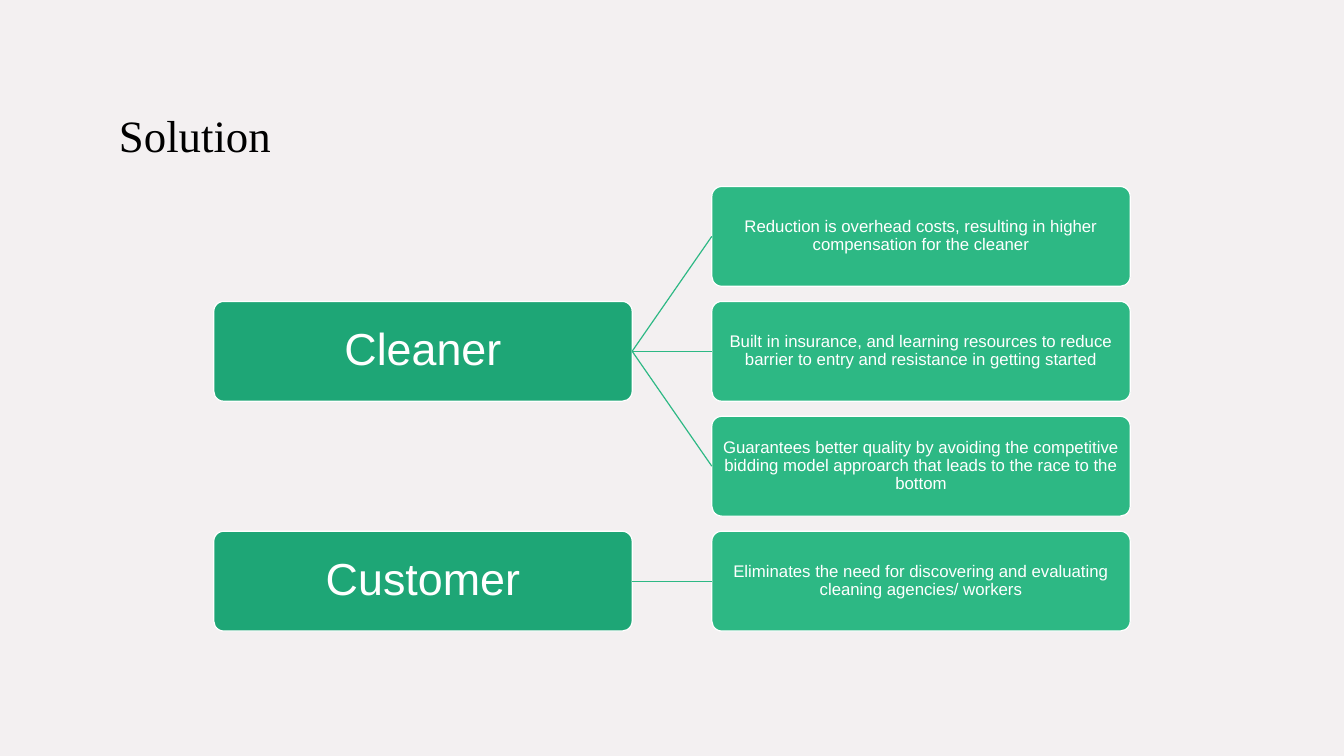
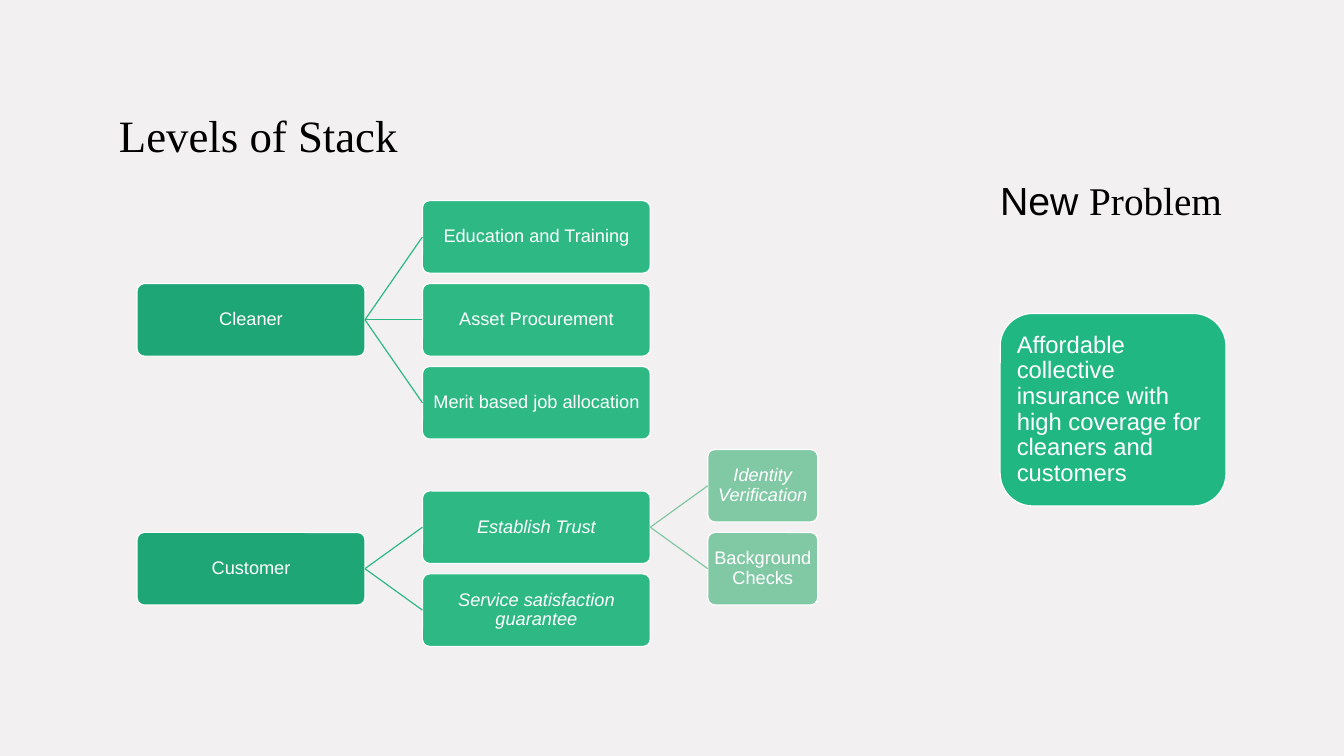
"""Build two slides that map a cleaning service's solution and its stack as trees."""
import pptx
import pptx.util
import pptx.dml.color
import pptx.enum.shapes
import pptx.enum.text
import pptx.oxml

Inches, Pt = pptx.util.Inches, pptx.util.Pt
ALIGN, ANCHOR = pptx.enum.text.PP_ALIGN, pptx.enum.text.MSO_ANCHOR
SHAPE, LINE = pptx.enum.shapes.MSO_SHAPE, pptx.enum.shapes.MSO_CONNECTOR

COLORS = {"back": "F3F0F1", "ink": "000000", "white": "FFFFFF", "callout": "21B782"}
LEVELS = ["1EA676", "2DB884", "81C8A5"]
SANS, SERIF = "Arial", "Times New Roman"
LINE_WIDTH = 0.85

SOLUTION = {
    "title": "Solution",
    "columns": [(2.12, 4.15), (7.06, 4.15)],
    "top": 1.85, "pitch": 1.14, "height": 0.99,
    "sizes": [32, 12],
    "tree": [
        {"text": "Cleaner", "children": [
            {"text": "Reduction is overhead costs, resulting in higher compensation for the cleaner", "row": 0},
            {"text": "Built in insurance, and learning resources to reduce barrier to entry and "
                     "resistance in getting started", "row": 1},
            {"text": "Guarantees better quality by avoiding the competitive bidding model approarch "
                     "that leads to the race to the bottom", "row": 2}]},
        {"text": "Customer", "children": [
            {"text": "Eliminates the need for discovering and evaluating cleaning agencies/ workers", "row": 3}]},
    ],
}
STACK = {
    "title": "Levels of Stack",
    "columns": [(1.36, 2.26), (4.19, 2.26), (7.02, 1.09)],
    "top": 1.99, "pitch": 0.823, "height": 0.72,
    "sizes": [13, 13, 13],
    "tree": [
        {"text": "Cleaner", "children": [
            {"text": "Education and Training", "row": 0},
            {"text": "Asset Procurement", "row": 1},
            {"text": "Merit based job allocation", "row": 2}]},
        {"text": "Customer", "children": [
            {"text": "Establish Trust", "italic": True, "children": [
                {"text": "Identity Verification", "italic": True, "row": 3},
                {"text": "Background Checks", "row": 4}]},
            {"text": "Service satisfaction guarantee", "italic": True, "row": 4.5}]},
    ],
}
PROBLEM_HEADING = [("New ", SANS), ("Problem", SERIF)]
PROBLEM = "Affordable collective insurance with high coverage for cleaners and customers"


def rgb(value):
    return pptx.dml.color.RGBColor.from_string(value)


def add_run(p, text, size, font, color, italic=None):
    r = p.add_run()
    r.text = text
    r.font.size, r.font.name, r.font.italic = Pt(size), font, italic
    r.font.color.rgb = rgb(color)


def add_slide(prs, title):
    s = prs.slides.add_slide(prs.slide_layouts[5])
    sp = s.shapes.title
    sp.left, sp.top, sp.width, sp.height = map(Inches, (1.08, 0.43, 11.17, 1.22))
    sp.text_frame.vertical_anchor = ANCHOR.BOTTOM
    p = sp.text_frame.paragraphs[0]
    p.alignment = ALIGN.LEFT
    add_run(p, title, 32, SERIF, COLORS["ink"])
    return s


def add_box(s, at, text, size, fill, inset=0.01, align=ALIGN.CENTER, radius=0.1, italic=None):
    sp = s.shapes.add_shape(SHAPE.ROUNDED_RECTANGLE, *map(Inches, at))
    sp.adjustments[0] = radius
    sp.shadow.inherit = False
    sp.fill.solid()
    sp.fill.fore_color.rgb = rgb(fill)
    sp.line.color.rgb = rgb(COLORS["white"])
    sp.line.width = Pt(LINE_WIDTH)
    tf = sp.text_frame
    tf.word_wrap = True
    tf.vertical_anchor = ANCHOR.MIDDLE
    tf.margin_left = tf.margin_right = tf.margin_top = tf.margin_bottom = Inches(inset)
    p = tf.paragraphs[0]
    p.alignment, p.line_spacing = align, 0.9
    add_run(p, text, size, SANS, COLORS["white"], italic)
    return sp


def add_link(s, parent, child, color):
    link = s.shapes.add_connector(LINE.STRAIGHT, 0, 0, 0, 0)
    link.begin_connect(parent, 3)
    link.end_connect(child, 1)
    link.line.color.rgb = rgb(color)
    link.line.width = Pt(LINE_WIDTH)
    link._element.spPr.append(pptx.oxml.parse_xml(
        '<a:effectLst xmlns:a="http://schemas.openxmlformats.org/drawingml/2006/main"/>'))


def row_of(node):
    children = node.get("children")
    return sum(map(row_of, children)) / len(children) if children else node["row"]


def add_node(s, diagram, node, level=0):
    left, width = diagram["columns"][level]
    top = diagram["top"] + diagram["pitch"] * row_of(node)
    sp = add_box(s, (left, top, width, diagram["height"]), node["text"],
                 diagram["sizes"][level], LEVELS[level], italic=node.get("italic"))
    for child in node.get("children", []):
        add_link(s, sp, add_node(s, diagram, child, level + 1), LEVELS[level + 1])
    return sp


def add_tree_slide(prs, diagram):
    s = add_slide(prs, diagram["title"])
    for root in diagram["tree"]:
        add_node(s, diagram, root)
    return s


def add_problem(s):
    tf = s.shapes.add_textbox(*map(Inches, (9.82, 1.7, 2.43, 0.57))).text_frame
    tf.word_wrap = False
    tf.auto_size = pptx.enum.text.MSO_AUTO_SIZE.SHAPE_TO_FIT_TEXT
    for text, font in PROBLEM_HEADING:
        add_run(tf.paragraphs[0], text, 28, font, COLORS["ink"])
    add_box(s, (9.92, 3.11, 2.24, 1.91), PROBLEM, 17, COLORS["callout"],
            inset=0.07, align=ALIGN.LEFT, radius=0.17)


def main():
    prs = pptx.Presentation()
    prs.slide_width, prs.slide_height = Inches(13.33), Inches(7.5)
    fill = prs.slide_master.background.fill
    fill.solid()
    fill.fore_color.rgb = rgb(COLORS["back"])
    add_tree_slide(prs, SOLUTION)
    add_problem(add_tree_slide(prs, STACK))
    prs.save("out.pptx")


if __name__ == "__main__":
    main()
